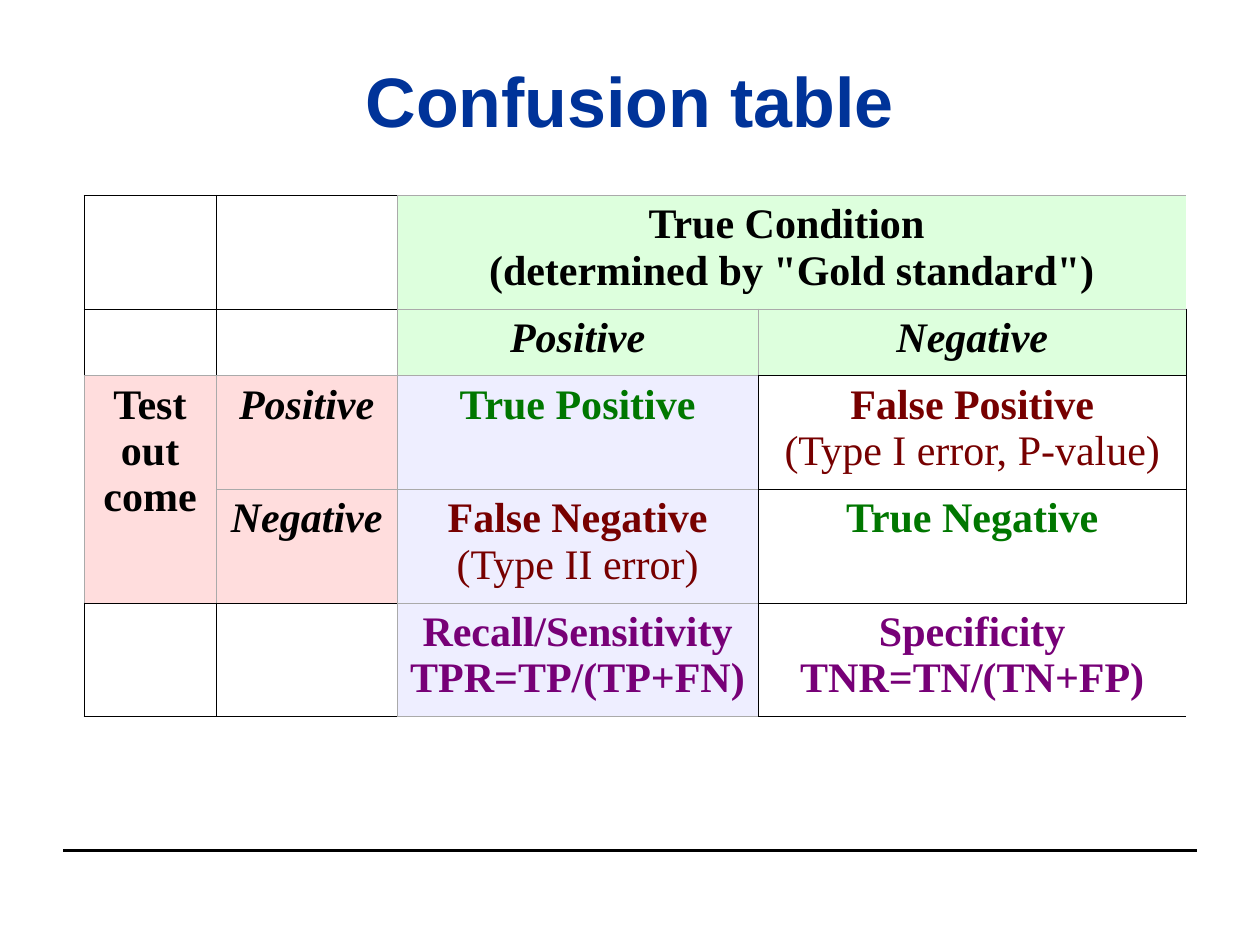
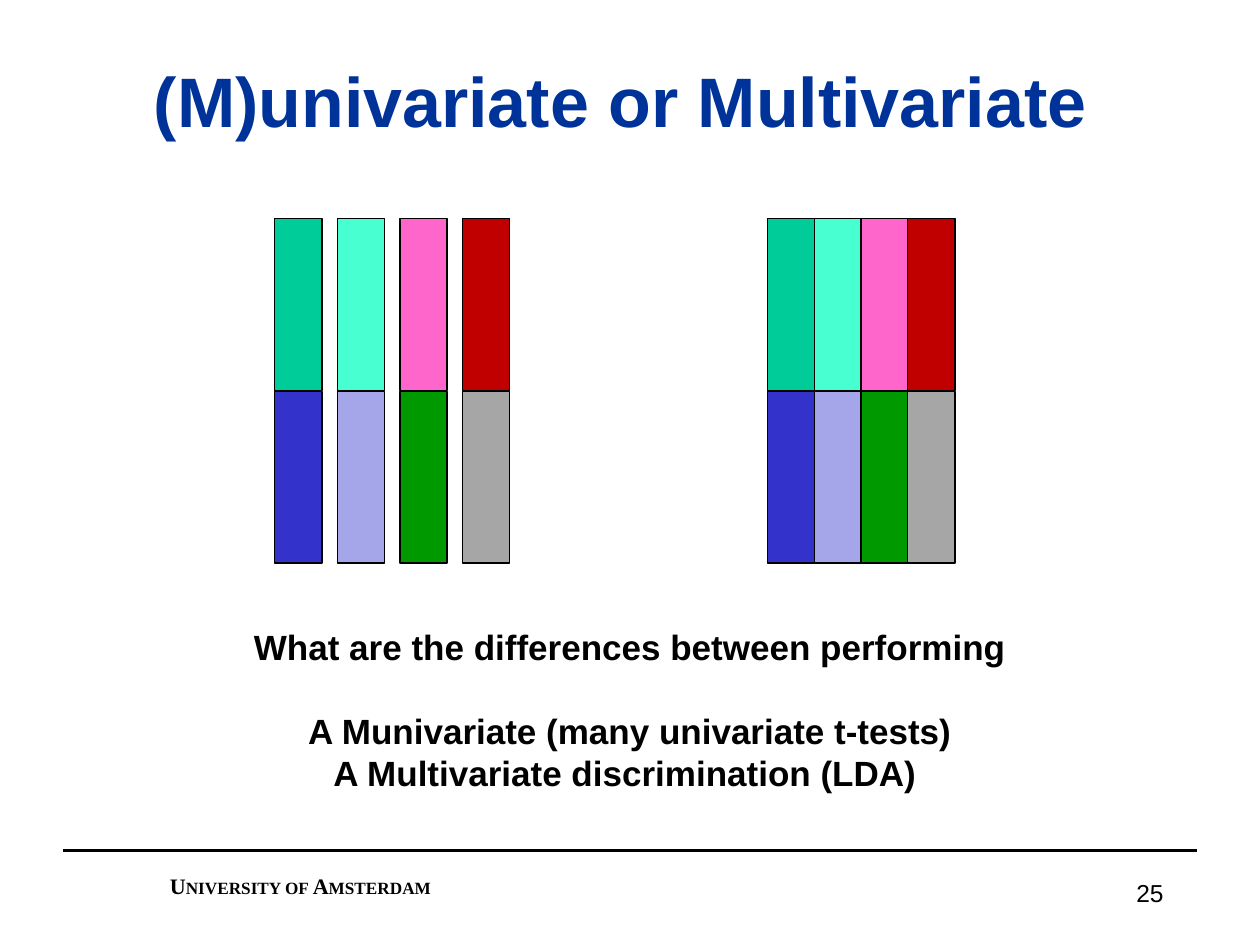
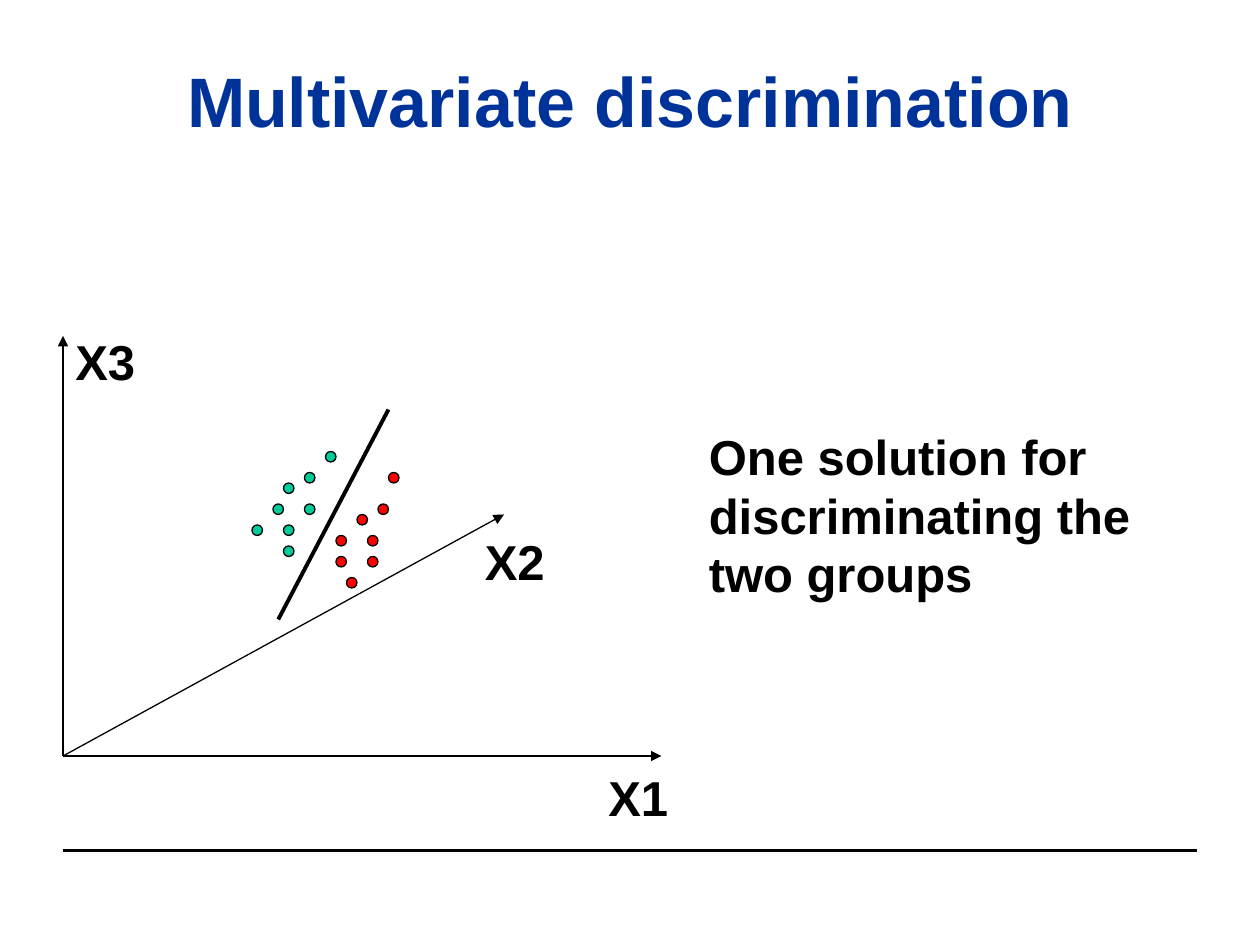
import dataclasses

import lxml.etree
import pptx
import pptx.dml.color
import pptx.enum.shapes
import pptx.enum.text
import pptx.oxml.ns
import pptx.util

Pt = pptx.util.Pt
ALIGN = pptx.enum.text.PP_ALIGN
SHAPE = pptx.enum.shapes.MSO_SHAPE


@dataclasses.dataclass(frozen=True)
class Theme:
    sans: str = "Arial"
    serif: str = "Times New Roman"
    title_size: float = 40
    label_size: float = 28
    question_size: float = 20
    table_size: float = 24
    number_size: float = 14
    capital_size: float = 12.6
    small_capital_size: float = 9.8
    title: str = "003399"
    black: str = "000000"
    white: str = "FFFFFF"
    condition: str = "DDFFDD"
    test: str = "FFDDDD"
    positive: str = "EEEEFF"
    correct: str = "007700"
    error: str = "770000"
    measure: str = "770077"
    grid: str = "AAAAAA"
    first_group: str = "00CC99"
    second_group: str = "FF0000"
    bars: tuple = (
        ("00CC99", "3333CC"),
        ("47FFD1", "A5A5E9"),
        ("FF66CC", "009900"),
        ("C00000", "A6A6A6"),
    )


THEME = Theme()


@dataclasses.dataclass
class Cell:
    edges: str
    fill: str = THEME.white
    lines: tuple = ()
    note: str = ""
    color: str = THEME.black
    italic: bool = False


CONFUSION_CELLS = (
    (
        Cell("BBBB"),
        Cell("BBGB"),
        Cell("GG-G", THEME.condition, ("True Condition ", '(determined by "Gold standard")')),
        Cell("-G-G", THEME.condition),
    ),
    (
        Cell("BBBG"),
        Cell("BBGG"),
        Cell("GGGG", THEME.condition, ("Positive",), italic=True),
        Cell("GGBK", THEME.condition, ("Negative",), italic=True),
    ),
    (
        Cell("GGGK", THEME.test, ("Test\vout", "come")),
        Cell("GGGG", THEME.test, ("Positive",), italic=True),
        Cell("GGKG", THEME.positive, ("True Positive",), color=THEME.correct),
        Cell("KKBB", THEME.white, ("False Positive",), "(Type I error, P-value)", THEME.error),
    ),
    (
        Cell("G-GK", THEME.test),
        Cell("GGGK", THEME.test, ("Negative",), italic=True),
        Cell("GGKG", THEME.positive, ("False Negative",), "(Type II error)", THEME.error),
        Cell("KBBB", THEME.white, ("True Negative",), color=THEME.correct),
    ),
    (
        Cell("BKBB"),
        Cell("BKGB"),
        Cell("GGKG", THEME.positive, ("Recall/Sensitivity", "TPR=TP/(TP+FN)"), color=THEME.measure),
        Cell("KB-B", THEME.white, ("Specificity", "TNR=TN/(TN+FP)"), color=THEME.measure),
    ),
)


def rgb(color):
    return pptx.dml.color.RGBColor.from_string(color)


def add_element(parent, tag, **attributes):
    return lxml.etree.SubElement(parent, pptx.oxml.ns.qn(tag), attributes)


class Deck:
    def __init__(self, theme):
        self.theme = theme
        self.presentation = pptx.Presentation()
        self.presentation.slide_width = Pt(720)
        self.presentation.slide_height = Pt(540)
        self.layout = self.presentation.slide_layouts[5]
        self.slide = None

    def new_slide(self, title):
        first = self.slide is None
        self.slide = self.presentation.slides.add_slide(self.layout)
        if first:
            rule = self.line((36, 486), (684, 486), 2)
            self.layout.shapes.element.append(rule.element)
        shape = self.slide.shapes.title
        shape.left, shape.top, shape.width, shape.height = Pt(54), Pt(12), Pt(612), Pt(90)
        frame = shape.text_frame
        frame.text = title
        frame.vertical_anchor = pptx.enum.text.MSO_ANCHOR.MIDDLE
        self.style(frame.paragraphs[0], self.theme.title_size, self.theme.title, align=ALIGN.CENTER)

    def style(self, paragraph, size, color=THEME.black, font=THEME.sans,
              bold=True, italic=False, align=ALIGN.LEFT):
        paragraph.alignment = align
        paragraph.font.name = font
        paragraph.font.size = Pt(size)
        paragraph.font.bold = bold
        paragraph.font.italic = italic
        paragraph.font.color.rgb = rgb(color)

    def text(self, left, top, width, height, lines, size, wrap=False, **style):
        box = self.slide.shapes.add_textbox(Pt(left), Pt(top), Pt(width), Pt(height))
        frame = box.text_frame
        frame.word_wrap = wrap
        frame.text = "\n".join(lines)
        for paragraph in frame.paragraphs:
            self.style(paragraph, size, **style)
        return frame

    def footer(self, number):
        theme = self.theme
        frame = self.text(90, 498, 228, 24, (), theme.capital_size, wrap=True, font=theme.serif)
        paragraph = frame.paragraphs[0]
        paragraph.line_spacing = 0.8
        for capital, rest in (("U", "NIVERSITY OF "), ("A", "MSTERDAM")):
            paragraph.add_run().text = capital
            run = paragraph.add_run()
            run.text = rest
            run.font.size = Pt(theme.small_capital_size)
        self.text(522, 498, 150, 30, (number,), theme.number_size, wrap=True,
                  bold=False, align=ALIGN.RIGHT)

    def line(self, start, end, width=0.75, arrow=False):
        connector = self.slide.shapes.add_connector(
            pptx.enum.shapes.MSO_CONNECTOR.STRAIGHT, *(Pt(value) for value in start + end))
        connector.line.color.rgb = rgb(self.theme.black)
        connector.line.width = Pt(width)
        if arrow:
            add_element(connector.line._get_or_add_ln(), "a:tailEnd", type="triangle")
        add_element(connector.element.spPr, "a:effectLst")
        return connector

    def shape(self, kind, left, top, width, height, fill):
        shape = self.slide.shapes.add_shape(kind, Pt(left), Pt(top), Pt(width), Pt(height))
        shape.shadow.inherit = False
        shape.fill.solid()
        shape.fill.fore_color.rgb = rgb(fill)
        shape.line.color.rgb = rgb(self.theme.black)
        shape.line.width = Pt(0.75)

    def bars(self, left, pitch):
        for column, pair in enumerate(self.theme.bars):
            for row, fill in enumerate(pair):
                self.shape(SHAPE.RECTANGLE, left + column * pitch, 125 + row * 98.75, 27, 98, fill)

    def dots(self, positions, fill):
        for left, top in positions:
            self.shape(SHAPE.OVAL, left, top, 6, 6, fill)

    def table(self, left, top, widths, heights, rows, merges):
        table = self.slide.shapes.add_table(
            len(heights), len(widths), Pt(left), Pt(top), Pt(sum(widths)), Pt(sum(heights))).table
        table.first_row = False
        table.horz_banding = False
        for column, width in zip(table.columns, widths):
            column.width = Pt(width)
        for row, height in zip(table.rows, heights):
            row.height = Pt(height)
        for row_index, row in enumerate(rows):
            for column_index, content in enumerate(row):
                self.cell(table.cell(row_index, column_index), content)
        for start, end in merges:
            table.cell(*start).merge(table.cell(*end))

    def cell(self, cell, content):
        theme = self.theme
        strokes = {"G": (theme.grid, 0.06), "K": (theme.black, 0.06), "B": (theme.black, 0.34)}
        properties = cell._tc.get_or_add_tcPr()
        edges = dict(zip("LTRB", content.edges))
        for side in "LRTB":
            color, width = strokes.get(edges[side], (None, 0))
            border = add_element(properties, f"a:ln{side}", w=str(Pt(width)))
            if color:
                add_element(add_element(border, "a:solidFill"), "a:srgbClr", val=color)
            else:
                add_element(border, "a:noFill")
        cell.fill.solid()
        cell.fill.fore_color.rgb = rgb(content.fill)
        if not content.lines:
            return
        cell.text_frame.text = "\n".join(content.lines)
        for paragraph in cell.text_frame.paragraphs:
            self.style(paragraph, theme.table_size, content.color, theme.serif,
                       italic=content.italic, align=ALIGN.CENTER)
        if content.note:
            paragraph.add_line_break()
            run = paragraph.add_run()
            run.text = content.note
            run.font.bold = False


def main():
    deck = Deck(THEME)

    deck.new_slide("Confusion table")
    deck.table(48, 111.5, (75.5, 103.5, 206.25, 244.75), (65, 38, 65, 65, 65), CONFUSION_CELLS,
               (((0, 2), (0, 3)), ((2, 0), (3, 0))))

    deck.new_slide("(M)univariate or Multivariate ")
    deck.footer("25")
    deck.bars(157, 35.75)
    question = deck.text(
        135.5, 354, 449, 104,
        ("What are the differences between performing ",
         "A Munivariate (many univariate t-tests)",
         "A Multivariate discrimination (LDA) "),
        THEME.question_size, align=ALIGN.CENTER)
    question.paragraphs[1].space_before = Pt(24)
    deck.bars(438.5, 26.75)

    deck.new_slide("Multivariate discrimination")
    origin = (36, 432)
    for tip in ((36, 192), (378, 432), (288, 294)):
        deck.line(origin, tip, arrow=True)
    deck.dots(((162, 312), (174, 288), (156, 288), (186, 258),
               (162, 276), (174, 270), (162, 300), (144, 300)), THEME.first_group)
    deck.dots(((210, 318), (222, 270), (192, 306), (210, 306),
               (204, 294), (216, 288), (198, 330), (192, 318)), THEME.second_group)
    deck.line((159, 354), (222, 234), 2.25)
    for label, left, top in (("X1", 340.5, 435), ("X2", 270, 300), ("X3", 36, 186)):
        deck.text(left, top, 48.5, 41, (label,), THEME.label_size)
    deck.text(398, 240, 263, 108,
              ("One solution for", "discriminating the", "two groups"), THEME.label_size)

    deck.presentation.save("out.pptx")


if __name__ == "__main__":
    main()
